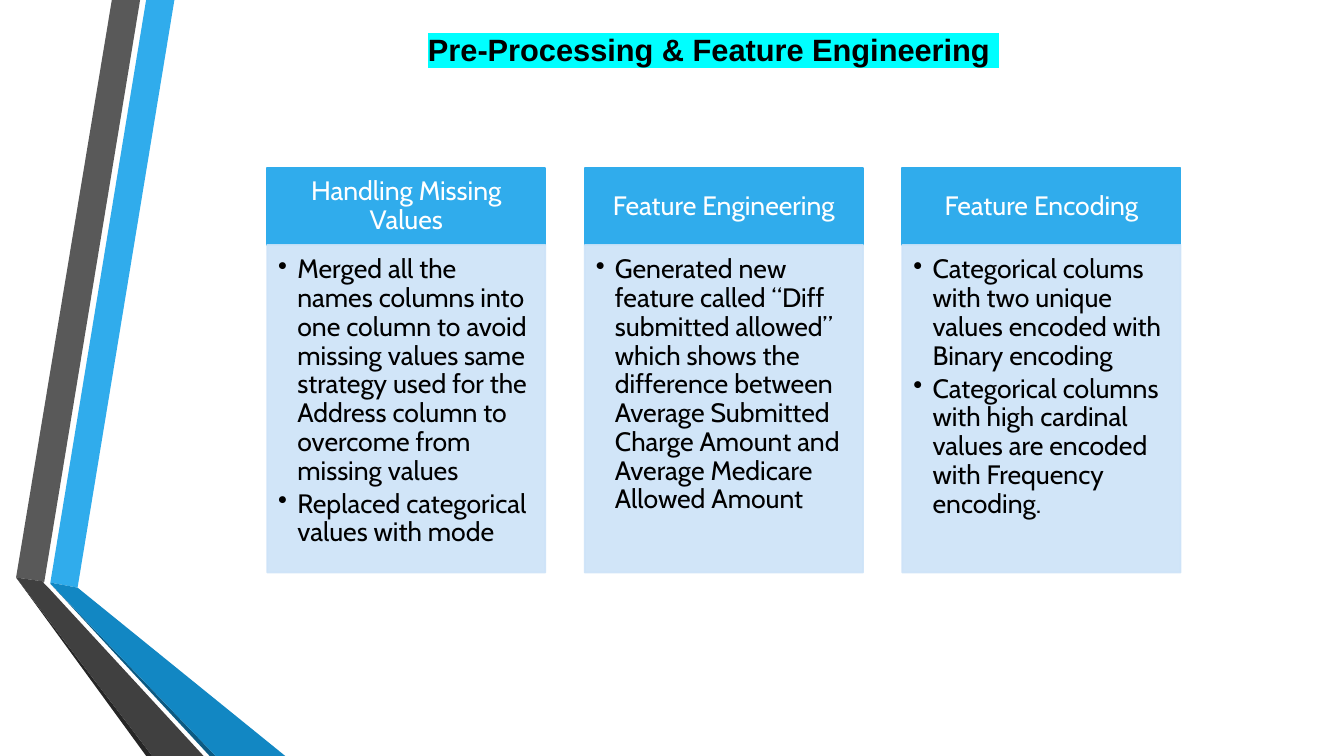
from lxml.etree import SubElement
from pptx import Presentation
from pptx.dml.color import RGBColor
from pptx.enum.shapes import MSO_SHAPE
from pptx.enum.text import MSO_ANCHOR, PP_ALIGN
from pptx.oxml.ns import qn
from pptx.util import Pt

PX = 9144  # EMU in one px, 100 px to the inch

BLACK = RGBColor(0x00, 0x00, 0x00)
WHITE = RGBColor(0xFF, 0xFF, 0xFF)
CYAN = RGBColor(0x00, 0xFF, 0xFF)
SKY = RGBColor(0x30, 0xAC, 0xEC)
PALE = RGBColor(0xCD, 0xE3, 0xF8)
BLUE = RGBColor(0x12, 0x87, 0xC3)
NAVY = RGBColor(0x0C, 0x5A, 0x82)
GREY = RGBColor(0x59, 0x59, 0x59)
DARK = RGBColor(0x40, 0x40, 0x40)
COAL = RGBColor(0x26, 0x26, 0x26)

# Ribbon faces from back to front: colour and corners
RIBBONS = [
    (SKY, [(50, 578), (77, 583), (173, 0), (145, 0)]),
    (GREY, [(139, 0), (111, 0), (16, 573), (44, 577)]),
    (COAL, [(16, 573), (145, 750), (151, 750)]),
    (NAVY, [(50, 579), (208, 750), (214, 750)]),
    (BLUE, [(50, 579), (214, 750), (283, 750), (77, 583), (50, 578)]),
    (DARK, [(202, 750), (48, 583), (43, 578), (44, 577), (16, 573), (151, 750)]),
]

CARDS = [
    ("Handling Missing Values", [
        "Merged all the names columns into one column to avoid missing values "
        "same strategy used for the Address column to overcome from missing values",
        "Replaced categorical values with mode",
    ]),
    ("Feature Engineering", [
        "Generated new feature called “Diff submitted allowed” which shows the "
        "difference between Average Submitted Charge Amount and Average Medicare "
        "Allowed Amount",
    ]),
    ("Feature Encoding", [
        "Categorical colums with two unique values encoded with Binary encoding",
        "Categorical columns with high cardinal values are encoded with "
        "Frequency encoding.",
    ]),
]
CARD_LEFT, CARD_TOP, CARD_WIDTH, CARD_STEP = 265, 167, 276, 315
HEAD_HEIGHT, BODY_HEIGHT = 76, 325


def write(paragraph, text, font="Cabin", size=19, color=BLACK, bold=False,
          align=PP_ALIGN.LEFT, spacing=0.9, after=0, indent=0, highlight=None):
    """Fill a paragraph with one formatted span; an indent makes it a bullet."""
    if indent:
        properties = paragraph._p.get_or_add_pPr()
        properties.set("marL", str(indent * PX))
        properties.set("indent", str(-indent * PX))
        SubElement(properties, qn("a:buChar"), char="•")
    paragraph.alignment = align
    paragraph.line_spacing = spacing
    paragraph.space_after = Pt(after)
    span = paragraph.add_run()
    span.text = text
    span.font.name = font
    span.font.size = Pt(size)
    span.font.bold = bold
    span.font.color.rgb = color
    if highlight is not None:
        span_properties = span._r.get_or_add_rPr()
        mark = SubElement(span_properties, qn("a:highlight"))
        SubElement(mark, qn("a:srgbClr"), val=str(highlight))
        span_properties.find(qn("a:solidFill")).addnext(mark)


class Builder:
    """Holds the style and the current slide."""

    def __init__(self, deck):
        self.page = deck.slides.add_slide(deck.slide_layouts[6])
        self.border = Pt(1.25)

    def frame(self, shape, insets, anchor):
        box = shape.text_frame
        box.word_wrap = True
        box.vertical_anchor = anchor
        box.margin_left, box.margin_top, box.margin_right, box.margin_bottom = (
            inset * PX for inset in insets)
        return box

    def ribbon(self, color, corners):
        builder = self.page.shapes.build_freeform(*corners[0], scale=PX)
        builder.add_line_segments(corners[1:], close=True)
        shape = builder.convert_to_shape()
        shape.shadow.inherit = False
        shape.fill.solid()
        shape.fill.fore_color.rgb = color
        shape.line.fill.background()

    def title(self, text, left, top, width, height):
        shape = self.page.shapes.add_textbox(
            left * PX, top * PX, width * PX, height * PX)
        box = self.frame(shape, (10, 5, 10, 5), MSO_ANCHOR.MIDDLE)
        write(box.paragraphs[0], text, font="Arial", size=22, bold=True,
              align=PP_ALIGN.CENTER, spacing=1.0, highlight=CYAN)

    def panel(self, left, top, width, height, color, opacity=100):
        shape = self.page.shapes.add_shape(
            MSO_SHAPE.RECTANGLE, left * PX, top * PX, width * PX, height * PX)
        shape.shadow.inherit = False
        shape.line.width = self.border
        for paint in (shape.fill, shape.line.fill):
            paint.solid()
            paint.fore_color.rgb = color
        if opacity < 100:
            for tint in shape._element.spPr.iter(qn("a:srgbClr")):
                SubElement(tint, qn("a:alpha"), val=str(opacity * 1000))
        return shape

    def card(self, left, heading, points):
        head = self.panel(left, CARD_TOP, CARD_WIDTH, HEAD_HEIGHT, SKY)
        box = self.frame(head, (15, 8, 15, 8), MSO_ANCHOR.MIDDLE)
        write(box.paragraphs[0], heading, color=WHITE, align=PP_ALIGN.CENTER)

        body = self.panel(left, CARD_TOP + HEAD_HEIGHT, CARD_WIDTH, BODY_HEIGHT,
                          PALE, opacity=90)
        box = self.frame(body, (11, 11, 15, 17), MSO_ANCHOR.TOP)
        for index, point in enumerate(points):
            paragraph = box.add_paragraph() if index else box.paragraphs[0]
            write(paragraph, point, after=3, indent=19)


def main():
    deck = Presentation()
    deck.slide_width, deck.slide_height = 1333 * PX, 750 * PX
    builder = Builder(deck)

    # Folded ribbons on the left
    for color, corners in RIBBONS:
        builder.ribbon(color, corners)

    # Title
    builder.title("Pre-Processing & Feature Engineering ", 155, 24, 1105, 49)

    # Three cards in equal steps
    for column, (heading, points) in enumerate(CARDS):
        builder.card(CARD_LEFT + column * CARD_STEP, heading, points)

    deck.save("out.pptx")


if __name__ == "__main__":
    main()
